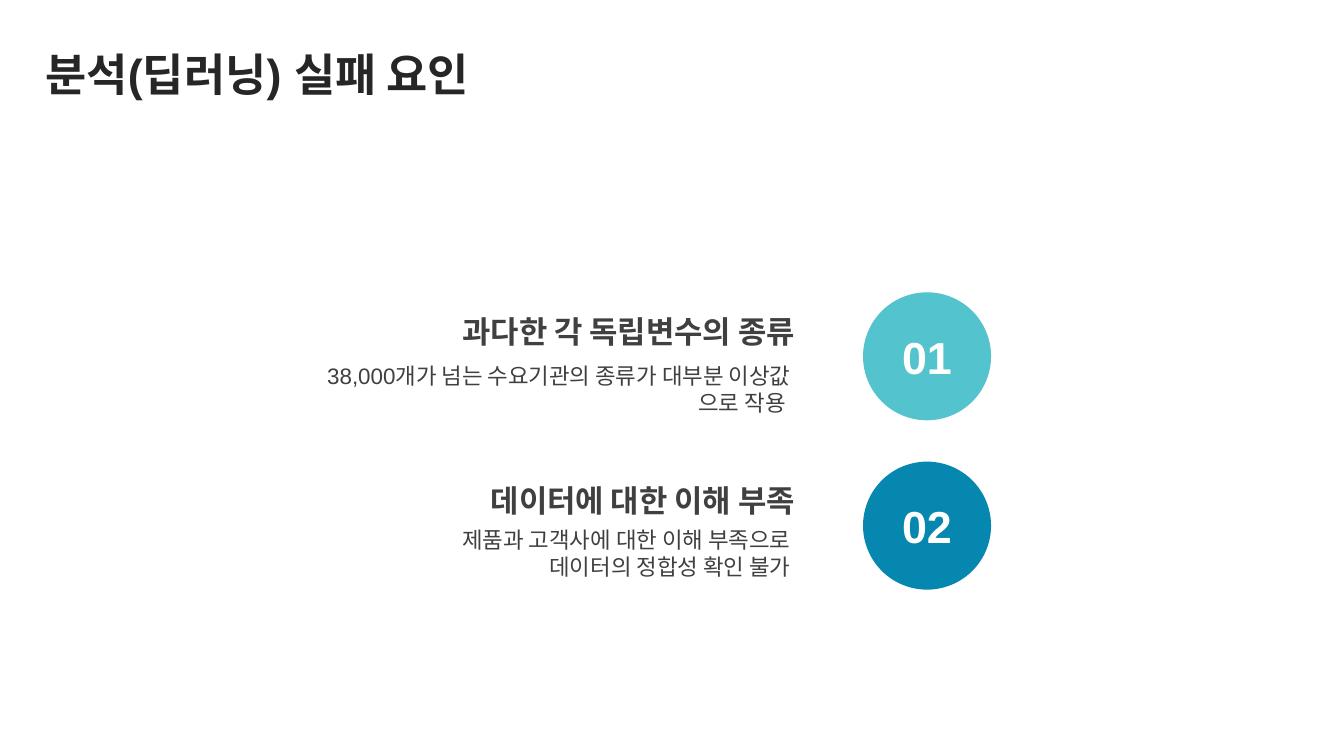
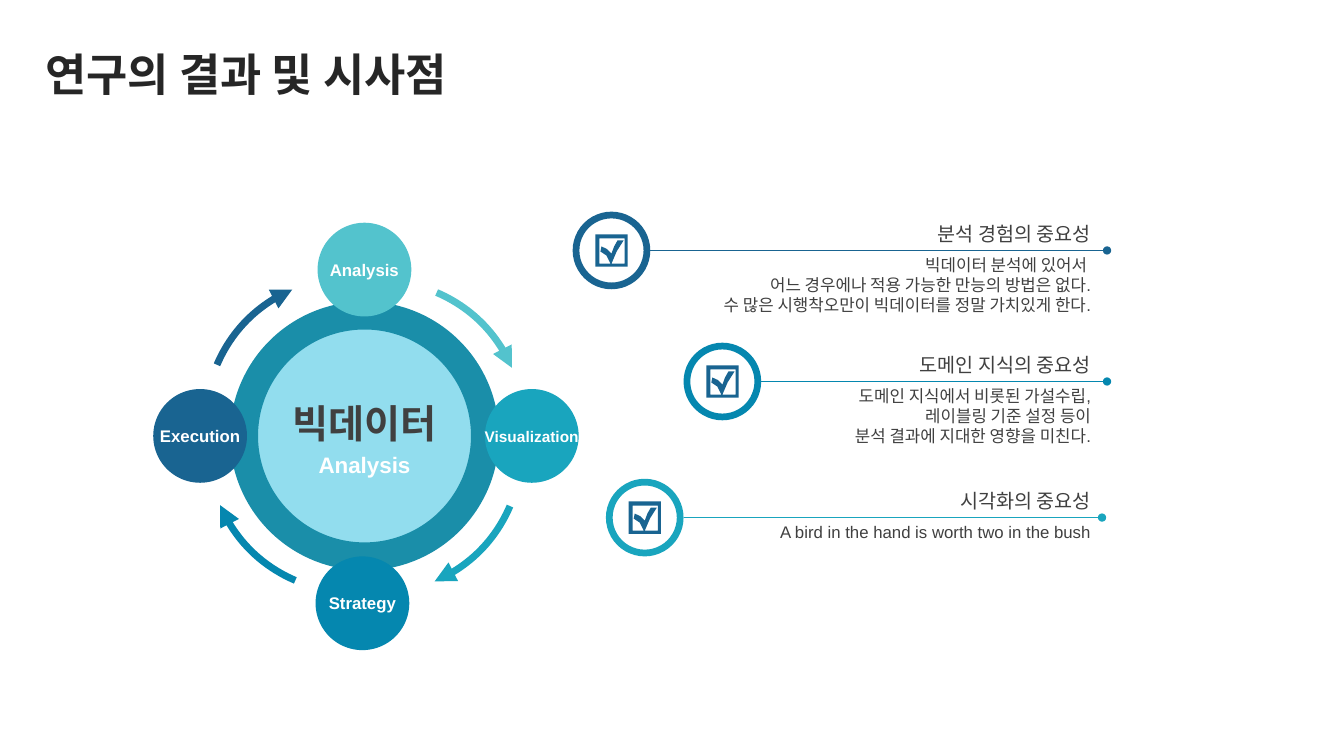
"""Build two slides on analysis failure factors and research findings."""
from dataclasses import dataclass

from lxml.etree import SubElement
from pptx import Presentation
from pptx.dml.color import RGBColor
from pptx.enum.shapes import MSO_CONNECTOR, MSO_SHAPE
from pptx.enum.text import MSO_ANCHOR, MSO_AUTO_SIZE, PP_ALIGN
from pptx.oxml.ns import qn
from pptx.presentation import Presentation as PresentationType
from pptx.shapes.autoshape import Shape
from pptx.slide import Slide
from pptx.text.text import TextFrame
from pptx.util import Inches, Pt


@dataclass(frozen=True)
class Theme:
    """Colours, font and type sizes shared by the slides."""

    font: str = "Arial"
    title: str = "262626"
    text: str = "404040"
    white: str = "FFFFFF"
    aqua: str = "53C3CD"
    teal: str = "19A5BE"
    blue: str = "0587AF"
    navy: str = "196491"
    hub: str = "92DDEE"
    ring: str = "1A8EA9"
    title_size: int = 32
    hub_size: int = 28
    factor_size: int = 22
    body_size: int = 16
    topic_size: int = 14
    small_size: int = 12
    tight_size: int = 11


THEME = Theme()


@dataclass(frozen=True)
class TextStyle:
    """Size, colour, weight and alignment of a text."""

    size: int
    color: str = THEME.text
    bold: bool = False
    align: PP_ALIGN = PP_ALIGN.RIGHT


@dataclass(frozen=True)
class Factor:
    """A numbered failure factor beside its circle."""

    number: str
    top: float
    color: str
    heading: str
    lines: tuple[str, ...]
    body_offset: float


@dataclass(frozen=True)
class Stage:
    """A circle of the cycle and the arrow that leaves it."""

    label: str
    left: float
    top: float
    color: str
    size: int
    arrow_color: str
    arrow_center: tuple[float, float]
    arrow_start: int


@dataclass(frozen=True)
class Topic:
    """A finding with its check icon and rule."""

    left: float
    top: float
    line_end: float
    color: str
    heading: str
    lines: tuple[str, ...]


FACTORS = (
    Factor("01", 2.9, THEME.aqua, "과다한 각 독립변수의 종류",
           ("38,000개가 넘는 수요기관의 종류가 대부분 이상값 으로 작용 ",), 0.64),
    Factor("02", 4.58, THEME.blue, "데이터에 대한 이해 부족",
           ("제품과 고객사에 대한 이해 부족으로", "데이터의 정합성 확인 불가"), 0.59),
)
STAGES = (
    Stage("Analysis", 3.15, 2.21, THEME.aqua, THEME.small_size,
          THEME.aqua, (3.78, 4.2), 293),
    Stage("Strategy", 3.13, 5.52, THEME.blue, THEME.small_size,
          THEME.blue, (3.48, 4.46), 113),
    Stage("Visualization", 4.81, 3.86, THEME.teal, THEME.tight_size,
          THEME.teal, (3.76, 4.47), 23),
    Stage("Execution", 1.52, 3.86, THEME.navy, THEME.small_size,
          THEME.navy, (3.45, 4.17), 203),
)
TOPICS = (
    Topic(5.68, 2.1, 10.98, THEME.navy, "분석 경험의 중요성",
          ("빅데이터 분석에 있어서 ", "어느 경우에나 적용 가능한 만능의 방법은 없다.",
           "수 많은 시행착오만이 빅데이터를 정말 가치있게 한다.")),
    Topic(6.78, 3.4, 10.98, THEME.blue, "도메인 지식의 중요성",
          ("도메인 지식에서 비롯된 가설수립,", "레이블링 기준 설정 등이",
           "분석 결과에 지대한 영향을 미친다.")),
    Topic(6.01, 4.75, 10.93, THEME.teal, "시각화의 중요성",
          ("A bird in the hand is worth two in the bush",)),
)
ICON_SIZE = 0.32
ICON_FRAME = ((0, 0), (320, 0), (320, 320), (0, 320))
ICON_CUTOUT = (
    (40, 40), (40, 290), (150, 290), (110, 210), (50, 170), (60, 120),
    (115, 145), (160, 190), (186, 120), (220, 60), (280, 60), (212, 168),
    (160, 290), (290, 290), (290, 40),
)
DONUT_SIZE = 0.77
FACTOR_DIAMETER = 1.27
STAGE_DIAMETER = 0.93
ARROW_RADIUS = 1.41
ARROW_SWEEP = 44


def write_text(frame: TextFrame, lines: tuple[str, ...], style: TextStyle) -> None:
    """Fill a text frame with one paragraph per line."""
    for index, line in enumerate(lines):
        paragraph = frame.paragraphs[0] if index == 0 else frame.add_paragraph()
        paragraph.alignment = style.align
        run = paragraph.add_run()
        run.text = line
        run.font.name = THEME.font
        run.font.size = Pt(style.size)
        run.font.bold = style.bold
        run.font.color.rgb = RGBColor.from_string(style.color)


def add_text(slide: Slide, left: float, top: float, width: float, height: float,
             lines: tuple[str, ...], style: TextStyle,
             anchor: MSO_ANCHOR = MSO_ANCHOR.TOP) -> None:
    """Add a wrapping text box."""
    box = slide.shapes.add_textbox(Inches(left), Inches(top), Inches(width), Inches(height))
    box.text_frame.word_wrap = True
    box.text_frame.vertical_anchor = anchor
    write_text(box.text_frame, lines, style)


def paint(shape: Shape, color: str) -> None:
    """Give a shape a plain fill without line or shadow."""
    shape.shadow.inherit = False
    shape.fill.solid()
    shape.fill.fore_color.rgb = RGBColor.from_string(color)
    shape.line.fill.background()


def add_round(slide: Slide, kind: MSO_SHAPE, left: float, top: float,
              diameter: float, color: str) -> Shape:
    """Add a filled round shape."""
    shape = slide.shapes.add_shape(
        kind, Inches(left), Inches(top), Inches(diameter), Inches(diameter))
    paint(shape, color)
    return shape


def add_labelled_circle(slide: Slide, left: float, top: float, diameter: float,
                        color: str, label: str, size: int) -> None:
    """Add a circle with a white bold label in its middle."""
    circle = add_round(slide, MSO_SHAPE.OVAL, left, top, diameter, color)
    frame = circle.text_frame
    frame.word_wrap = False
    frame.vertical_anchor = MSO_ANCHOR.MIDDLE
    frame.margin_left = frame.margin_right = frame.margin_top = frame.margin_bottom = 0
    write_text(frame, (label,), TextStyle(size, THEME.white, True, PP_ALIGN.CENTER))


def add_line_end(shape: Shape, kind: str) -> None:
    """Put an end mark on the line of a shape or connector."""
    outline = shape.element.spPr.get_or_add_ln()
    SubElement(outline, qn("a:tailEnd"), type=kind)


def add_cycle_arrow(slide: Slide, stage: Stage) -> None:
    """Draw the curved arrow of a stage."""
    center_x, center_y = stage.arrow_center
    arc = add_round(slide, MSO_SHAPE.ARC, center_x - ARROW_RADIUS,
                    center_y - ARROW_RADIUS, 2 * ARROW_RADIUS, stage.arrow_color)
    arc.fill.background()
    arc.adjustments[0] = stage.arrow_start * 0.6
    arc.adjustments[1] = (stage.arrow_start + ARROW_SWEEP) * 0.6
    arc.line.color.rgb = RGBColor.from_string(stage.arrow_color)
    arc.line.width = Pt(5)
    add_line_end(arc, "triangle")


def add_check_icon(slide: Slide, left: float, top: float) -> None:
    """Draw a ticked box as one outline with a cutout."""
    builder = slide.shapes.build_freeform(*ICON_FRAME[0], scale=Inches(1) / 1000)
    builder.add_line_segments(ICON_FRAME[1:], close=True)
    builder.move_to(*ICON_CUTOUT[0])
    builder.add_line_segments(ICON_CUTOUT[1:], close=True)
    paint(builder.convert_to_shape(Inches(left), Inches(top)), THEME.navy)


def add_topic(slide: Slide, topic: Topic) -> None:
    """Draw a finding: donut, icon, rule, heading and text."""
    donut = add_round(slide, MSO_SHAPE.DONUT, topic.left, topic.top, DONUT_SIZE, topic.color)
    donut.adjustments[0] = 0.087
    inset = (DONUT_SIZE - ICON_SIZE) / 2
    add_check_icon(slide, topic.left + inset, topic.top + inset)
    middle = topic.top + DONUT_SIZE / 2
    rule = slide.shapes.add_connector(
        MSO_CONNECTOR.STRAIGHT, Inches(topic.left + DONUT_SIZE), Inches(middle),
        Inches(topic.line_end), Inches(middle))
    rule.line.color.rgb = RGBColor.from_string(topic.color)
    rule.line.width = Pt(1)
    add_line_end(rule, "oval")
    SubElement(rule.element.spPr, qn("a:effectLst"))
    add_text(slide, 6.49, middle - 0.33, 4.43, 0.34, (topic.heading,),
             TextStyle(THEME.topic_size))
    add_text(slide, 6.49, middle - 0.01, 4.43, 0.71, topic.lines,
             TextStyle(THEME.small_size))


def add_titled_slide(presentation: PresentationType, title: str) -> Slide:
    """Add a slide with the shared title style."""
    slide = presentation.slides.add_slide(presentation.slide_layouts[5])
    shape = slide.shapes.title
    shape.left, shape.top = Inches(0.35), Inches(0.37)
    shape.width, shape.height = Inches(12.66), Inches(0.79)
    frame = shape.text_frame
    frame.auto_size = MSO_AUTO_SIZE.NONE
    frame.word_wrap = True
    frame.vertical_anchor = MSO_ANCHOR.MIDDLE
    write_text(frame, (title,),
               TextStyle(THEME.title_size, THEME.title, True, PP_ALIGN.LEFT))
    frame.paragraphs[0].line_spacing = 0.9
    return slide


def build_factors(presentation: PresentationType) -> None:
    """Build the slide of failure factors."""
    slide = add_titled_slide(presentation, "분석(딥러닝) 실패 요인")
    for factor in FACTORS:
        add_text(slide, 3.04, factor.top + 0.15, 4.94, 0.47, (factor.heading,),
                 TextStyle(THEME.factor_size, bold=True))
        add_text(slide, 3.07, factor.top + factor.body_offset, 4.87, 0.64,
                 factor.lines, TextStyle(THEME.body_size))
        add_labelled_circle(slide, 8.56, factor.top, FACTOR_DIAMETER, factor.color,
                            factor.number, THEME.title_size)


def build_findings(presentation: PresentationType) -> None:
    """Build the slide of the cycle and the findings."""
    slide = add_titled_slide(presentation, "연구의 결과 및 시사점")
    for topic in TOPICS:
        add_topic(slide, topic)
    hub = add_round(slide, MSO_SHAPE.OVAL, 2.42, 3.13, 2.39, THEME.hub)
    hub.line.color.rgb = RGBColor.from_string(THEME.ring)
    hub.line.width = Pt(20)
    for stage in STAGES:
        add_cycle_arrow(slide, stage)
        add_labelled_circle(slide, stage.left, stage.top, STAGE_DIAMETER, stage.color,
                            stage.label, stage.size)
    add_text(slide, 2.62, 3.91, 1.99, 0.57, ("빅데이터",),
             TextStyle(THEME.hub_size, THEME.text, True, PP_ALIGN.CENTER),
             MSO_ANCHOR.MIDDLE)
    add_text(slide, 2.62, 4.42, 1.99, 0.37, ("Analysis",),
             TextStyle(THEME.body_size, THEME.white, True, PP_ALIGN.CENTER),
             MSO_ANCHOR.MIDDLE)


def main() -> None:
    """Create and save the presentation."""
    presentation = Presentation()
    presentation.slide_width = Inches(13.33)
    presentation.slide_height = Inches(7.5)
    build_factors(presentation)
    build_findings(presentation)
    presentation.save("out.pptx")


if __name__ == "__main__":
    main()
